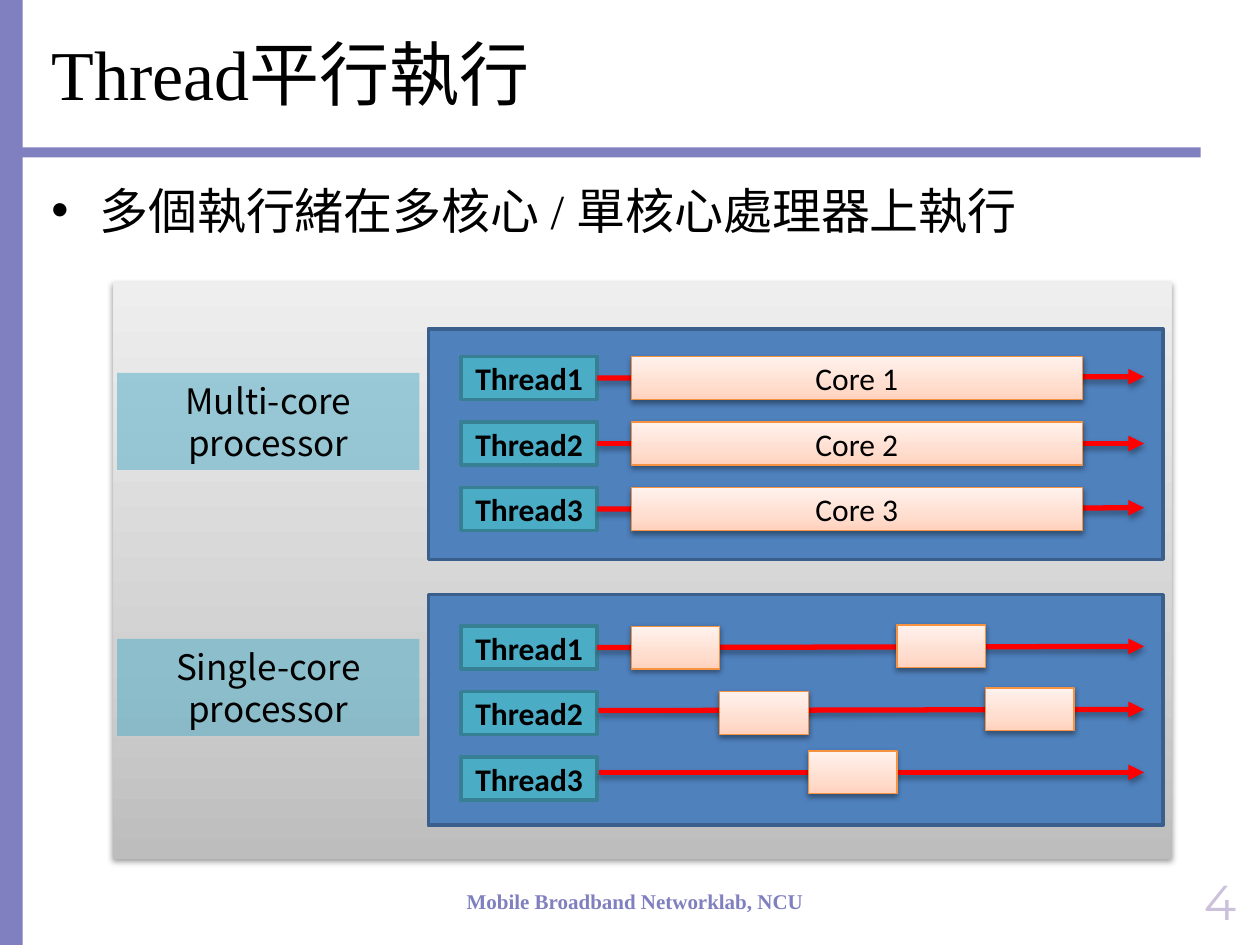
from dataclasses import dataclass

from lxml import etree
from pptx import Presentation
from pptx.dml.color import RGBColor
from pptx.enum.shapes import MSO_CONNECTOR, MSO_SHAPE
from pptx.enum.text import MSO_ANCHOR, PP_ALIGN
from pptx.oxml.ns import qn
from pptx.util import Inches, Pt

RECT = MSO_SHAPE.RECTANGLE
STRAIGHT = MSO_CONNECTOR.STRAIGHT
LEFT, CENTER, RIGHT = PP_ALIGN.LEFT, PP_ALIGN.CENTER, PP_ALIGN.RIGHT
TOP, MIDDLE = MSO_ANCHOR.TOP, MSO_ANCHOR.MIDDLE
RIGHT_SIDE = 3
COLS, ROWS = 100, 75


@dataclass(frozen=True)
class Theme:
    ink: str = "000000"
    frame: str = "8080C0"
    number: str = "CCC1DA"
    panel: str = "4F81BD"
    panel_line: str = "3A5F8C"
    thread: str = "4BACC6"
    thread_line: str = "377F92"
    core_line: str = "F69240"
    arrow: str = "FF0000"
    board: tuple = ((0, "BDBDBD"), (35, "D1D1D1"), (100, "EEEEEE"))
    core: tuple = ((0, "FFD2BD"), (35, "FFDED0"), (100, "FFF2ED"))
    serif: str = "Times New Roman"
    sans: str = "Calibri"
    cjk: str = "Noto Sans CJK TC"
    digits: str = "Montserrat"
    title: int = 40
    body: int = 28
    label: int = 20
    block: int = 18
    footer: int = 12


def add(parent, tag, **attributes):
    return etree.SubElement(parent, qn(tag), {k: str(v) for k, v in attributes.items()})


class Painter:
    """Draws on one slide; all lengths are grid columns and rows."""

    def __init__(self, deck, theme):
        self.theme = theme
        self.slide = deck.slides.add_slide(deck.slide_layouts[6])
        self.col, self.row = deck.slide_width / COLS, deck.slide_height / ROWS

    def place(self, x, y, w, h):
        return (round(x * self.col), round(y * self.row),
                round(w * self.col), round(h * self.row))

    def letter(self, holder, text, size, font, color=None, align=CENTER,
               anchor=MIDDLE, bold=False, wrap=True, bullet=False):
        frame = holder.text_frame
        frame.word_wrap, frame.vertical_anchor = wrap, anchor
        frame.text = text
        for paragraph in frame.paragraphs:
            paragraph.alignment = align
            if bullet:
                props = paragraph._p.get_or_add_pPr()
                props.set("marL", str(Inches(0.38)))
                props.set("indent", str(Inches(-0.38)))
                add(props, "a:buFont", typeface="Arial")
                add(props, "a:buChar", char="•")
            style = paragraph.font
            style.size, style.name, style.bold = Pt(size), font, bold
            style.color.rgb = RGBColor.from_string(color or self.theme.ink)
            add(paragraph._p.pPr.find(qn("a:defRPr")), "a:ea", typeface=self.theme.cjk)
        return frame

    def text(self, box, *args, **style):
        return self.letter(self.slide.shapes.add_textbox(*self.place(*box)), *args, **style)

    def shadow(self, effects, distance, opacity):
        cast = add(effects, "a:outerShdw", blurRad=Pt(3.1), dist=Pt(distance),
                   dir=5400000, rotWithShape=0)
        add(add(cast, "a:srgbClr", val="000000"), "a:alpha", val=opacity * 1000)

    def rect(self, box, fill, line=None, width=2, shadow=False, opacity=None):
        shape = self.slide.shapes.add_shape(RECT, *self.place(*box))
        properties = shape._element.spPr
        if isinstance(fill, tuple):
            shape.fill.gradient()
            shape.fill.gradient_angle = 90
            stops = properties.find(".//" + qn("a:gsLst"))
            stops.clear()
            for position, color in fill:
                add(add(stops, "a:gs", pos=position * 1000), "a:srgbClr", val=color)
        else:
            shape.fill.solid()
            shape.fill.fore_color.rgb = RGBColor.from_string(fill)
            if opacity:
                add(properties.find(".//" + qn("a:srgbClr")), "a:alpha", val=opacity * 1000)
        if line:
            shape.line.color.rgb = RGBColor.from_string(line)
            shape.line.width = Pt(width)
        else:
            shape.line.fill.background()
        shape.shadow.inherit = False
        if shadow:
            self.shadow(properties.find(qn("a:effectLst")), 1.6, 38)
        return shape

    def thread(self, box, name):
        t = self.theme
        shape = self.rect(box, t.thread, t.thread_line)
        self.letter(shape, name, t.block, t.sans, bold=True)
        return shape

    def core(self, box, name=None):
        t = self.theme
        shape = self.rect(box, t.core, t.core_line, 0.75, shadow=True)
        if name:
            self.letter(shape, name, t.block, t.sans)

    def arrow(self, x1, y1, x2, y2, source=None):
        line = self.slide.shapes.add_connector(
            STRAIGHT, *self.place(x1, y1, x2, y2))
        if source is not None:
            line.begin_connect(source, RIGHT_SIDE)
        line.line.color.rgb = RGBColor.from_string(self.theme.arrow)
        line.line.width = Pt(3)
        properties = line._element.spPr
        add(properties.find(qn("a:ln")), "a:tailEnd", type="triangle")
        self.shadow(add(properties, "a:effectLst"), 1.8, 35)


def main():
    deck = Presentation()
    deck.slide_width, deck.slide_height = Inches(10), Inches(7.5)
    theme = Theme()
    p = Painter(deck, theme)

    # Frame bars, footer and page number
    p.rect((1.2, 11.7, 94.1, 0.8), theme.frame)
    p.rect((0, 0, 1.8, ROWS), theme.frame)
    p.text((35.9, 70, 29, 3), "Mobile Broadband Networklab, NCU", theme.footer,
           theme.serif, theme.frame, anchor=TOP, bold=True, wrap=False)
    p.text((75.8, 69.5, 23.3, 4), "4", theme.body, theme.digits, theme.number, align=RIGHT)

    # Title and statement
    heading = p.text((3.1, 1.4, 93.9, 10.3), "Thread平行執行", theme.title,
                     theme.serif, align=LEFT)
    heading.paragraphs[0].line_spacing = Pt(36)
    p.text((3.1, 13.8, 94.6, 49.5), "多個執行緒在多核心 / 單核心處理器上執行", theme.body,
           theme.serif, align=LEFT, anchor=TOP, bullet=True)

    # Board with one panel and one label per processor
    p.rect((9, 22.4, 84, 45.8), theme.board, shadow=True)
    panel_tops = (26.1, 47.2)
    for top in panel_tops:
        p.rect((34, top, 58.3, 18.3), theme.panel, theme.panel_line)

    # Threads: three lanes in each panel
    lane_pitch, block_height = 5.2, 3.4
    lane_tops = [first + lane_pitch * lane for first in (28.3, 49.7) for lane in range(3)]
    threads = [p.thread((36.6, top, 10.8, block_height), f"Thread{i % 3 + 1}")
               for i, top in enumerate(lane_tops)]

    for top, label in zip(panel_tops, ("Multi-core processor", "Single-core\nprocessor")):
        tag = p.rect((9.3, top + 3.5, 24, 7.7), theme.thread, opacity=50)
        p.letter(tag, label, theme.label, theme.cjk, anchor=TOP)

    # Time arrows: the last two run a little above their thread's middle
    arrow_rows = ((30, 29.9), (35.3, 35.2), (40.4, 40.3),
                  (51.4, 51.3), (56.4, 56.3), (61.3, 61.3))
    for i, (start, end) in enumerate(arrow_rows):
        p.arrow(47.5, start, 90.8, end, threads[i] if i < 4 else None)

    # Cores: a long run per thread, then time slices taken in turn
    core_left, slice_width = 50.1, 7.03
    for number, top in enumerate(lane_tops[:3], 1):
        p.core((core_left, top, 35.8, block_height), f"Core {number}")
    for turn, top in enumerate((49.7, 54.9, 59.6, 49.6, 54.6)):
        p.core((core_left + turn * slice_width, top, slice_width, block_height))

    deck.save("out.pptx")


if __name__ == "__main__":
    main()
